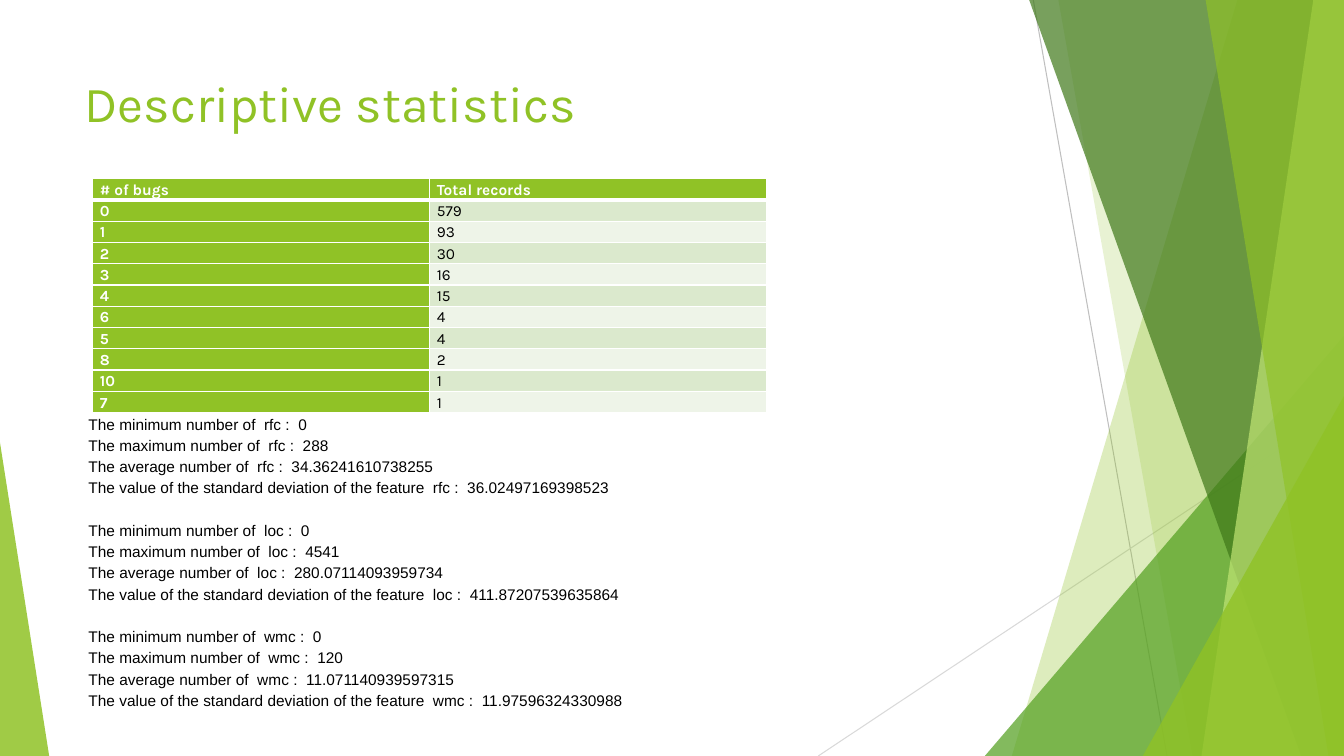
from lxml.etree import SubElement
from pptx import Presentation
from pptx.dml.color import RGBColor
from pptx.enum.shapes import MSO_CONNECTOR, MSO_SHAPE
from pptx.oxml.ns import qn
from pptx.util import Cm, Pt

WHITE = RGBColor(0xFF, 0xFF, 0xFF)
BLACK = RGBColor(0x00, 0x00, 0x00)
LIME = RGBColor(0x90, 0xC2, 0x26)
GREEN = RGBColor(0x54, 0xA0, 0x21)
FOREST = RGBColor(0x3F, 0x78, 0x19)
PALE_LIME = RGBColor(0xC0, 0xE4, 0x74)
MID_GREY = RGBColor(0xBF, 0xBF, 0xBF)
LIGHT_GREY = RGBColor(0xD9, 0xD9, 0xD9)
BAND_DARK = RGBColor(0xDB, 0xE9, 0xCD)
BAND_LIGHT = RGBColor(0xEE, 0xF4, 0xE8)

SLIDE_WIDTH, SLIDE_HEIGHT = 33.87, 19.05
LINE_SPACING = 1.15

BUG_RECORDS = [
    ("# of bugs", "Total records"),
    ("0", "579"), ("1", "93"), ("2", "30"), ("3", "16"), ("4", "15"),
    ("6", "4"), ("5", "4"), ("8", "2"), ("10", "1"), ("7", "1"),
]
MEASURES = [
    "The minimum number of",
    "The maximum number of",
    "The average number of",
    "The value of the standard deviation of the feature",
]
FEATURES = {
    "rfc": ("0", "288", "34.36241610738255", "36.02497169398523"),
    "loc": ("0", "4541", "280.07114093959734", "411.87207539635864"),
    "wmc": ("0", "120", "11.071140939597315", "11.97596324330988"),
}


def paint(shape, color, opacity):
    """Give a shape a translucent fill without outline or shadow."""
    shape.shadow.inherit = False
    shape.line.fill.background()
    shape.fill.solid()
    shape.fill.fore_color.rgb = color
    srgb = shape.fill._xPr.find(qn("a:solidFill"))[0]
    SubElement(srgb, qn("a:alpha"), val=str(opacity * 1000))


def add_ray(slide, start, end, color):
    """Draw a thin decorative line."""
    ray = slide.shapes.add_connector(
        MSO_CONNECTOR.STRAIGHT, *(Cm(value) for value in start + end))
    ray.line.color.rgb = color
    ray.line.width = Pt(0.75)
    SubElement(ray._element.spPr, qn("a:effectLst"))


def add_panel(slide, top_left, bottom_left, color, opacity):
    """Draw a slanted panel that reaches the right edge of the slide."""
    builder = slide.shapes.build_freeform(Cm(top_left), Cm(-0.02))
    corners = [(SLIDE_WIDTH, -0.02), (SLIDE_WIDTH, SLIDE_HEIGHT),
               (bottom_left, SLIDE_HEIGHT)]
    builder.add_line_segments([(Cm(x), Cm(y)) for x, y in corners])
    paint(builder.convert_to_shape(), color, opacity)


def add_corner(slide, left, top, width, apex, color, opacity):
    """Draw a right triangle standing on the bottom edge of the slide."""
    corner = slide.shapes.add_shape(
        MSO_SHAPE.ISOSCELES_TRIANGLE, Cm(left), Cm(top), Cm(width),
        Cm(SLIDE_HEIGHT - top))
    corner.adjustments[0] = apex
    paint(corner, color, opacity)


def add_facets(slide):
    """Draw the green facets from back to front."""
    add_ray(slide, (26.04, 0), (29.41, SLIDE_HEIGHT), MID_GREY)
    add_ray(slide, (SLIDE_WIDTH, 10.24), (20.62, SLIDE_HEIGHT), LIGHT_GREY)
    add_panel(slide, 31.19, 25.5, LIME, 30)
    add_panel(slide, 26.67, 30.05, LIME, 20)
    add_corner(slide, 24.82, 8.46, 9.05, 1, GREEN, 72)
    add_panel(slide, 25.93, 32.79, FOREST, 70)
    add_panel(slide, 33.1, 30.28, PALE_LIME, 70)
    add_panel(slide, 30.38, 33.48, LIME, 65)
    add_corner(slide, 28.8, 9.98, 5.07, 1, LIME, 80)
    add_corner(slide, 0, 11.15, 1.24, 0, LIME, 85)


def format_font(font, name, size, color, bold=False):
    """Set the typeface, size, colour and weight."""
    font.name = name
    font.size = Pt(size)
    font.color.rgb = color
    font.bold = bold


def add_text(slide, left, top, width, height):
    """Add a wrapping text box and return its text frame."""
    box = slide.shapes.add_textbox(Cm(left), Cm(top), Cm(width), Cm(height))
    box.text_frame.word_wrap = True
    return box.text_frame


def add_title(slide, wording):
    """Add the slide heading."""
    heading = add_text(slide, 1.88, 1.7, 23.88, 3.66)
    heading.text = wording
    format_font(heading.paragraphs[0].runs[0].font, "Karla", 36, LIME)


def add_borders(cell, bottom_width):
    """Draw white borders round a cell."""
    properties = cell._tc.get_or_add_tcPr()
    for side, width in zip("LRTB", (1, 1, 1, bottom_width)):
        border = SubElement(properties, qn(f"a:ln{side}"), w=str(Pt(width)))
        fill = SubElement(border, qn("a:solidFill"))
        SubElement(fill, qn("a:srgbClr"), val=str(WHITE))


def fill_cell(cell, wording, fill_color, text_color, bold, bottom_width):
    """Write and format one table cell."""
    cell.margin_left = cell.margin_right = Cm(0.18)
    cell.margin_top = cell.margin_bottom = 0
    add_borders(cell, bottom_width)
    cell.fill.solid()
    cell.fill.fore_color.rgb = fill_color
    cell.text = wording
    paragraph = cell.text_frame.paragraphs[0]
    paragraph.line_spacing = LINE_SPACING
    format_font(paragraph.runs[0].font, "Karla", 11, text_color, bold)


def add_bug_table(slide, records):
    """Add the table of records per number of bugs."""
    table = slide.shapes.add_table(
        len(records), 2, Cm(2.34), Cm(4.5), Cm(16.98),
        Cm(0.49 * len(records))).table
    for row, record in enumerate(records):
        for column, wording in enumerate(record):
            is_header = row == 0 or column == 0
            band = BAND_DARK if row % 2 else BAND_LIGHT
            fill_cell(table.cell(row, column), wording,
                      LIME if is_header else band,
                      WHITE if is_header else BLACK,
                      is_header, 3 if row == 0 else 1)


def add_feature_summary(slide, features):
    """List the four measures of each feature, one group per feature."""
    summary = add_text(slide, 1.98, 10.26, 16.94, 7.77)
    summary.text = "\n".join(
        f"{measure}  {feature} :  {value}"
        for feature, values in features.items()
        for measure, value in zip(MEASURES, values))
    for index, paragraph in enumerate(summary.paragraphs):
        paragraph.line_spacing = LINE_SPACING
        if index and index % len(MEASURES) == 0:
            paragraph.space_before = Pt(15.2)
        format_font(paragraph.runs[0].font, "Arial", 11, BLACK)


def main():
    """Build the slide and save it."""
    deck = Presentation()
    deck.slide_width, deck.slide_height = Cm(SLIDE_WIDTH), Cm(SLIDE_HEIGHT)
    slide = deck.slides.add_slide(deck.slide_layouts[6])
    add_facets(slide)
    add_title(slide, "Descriptive statistics")
    add_bug_table(slide, BUG_RECORDS)
    add_feature_summary(slide, FEATURES)
    deck.save("out.pptx")


if __name__ == "__main__":
    main()
